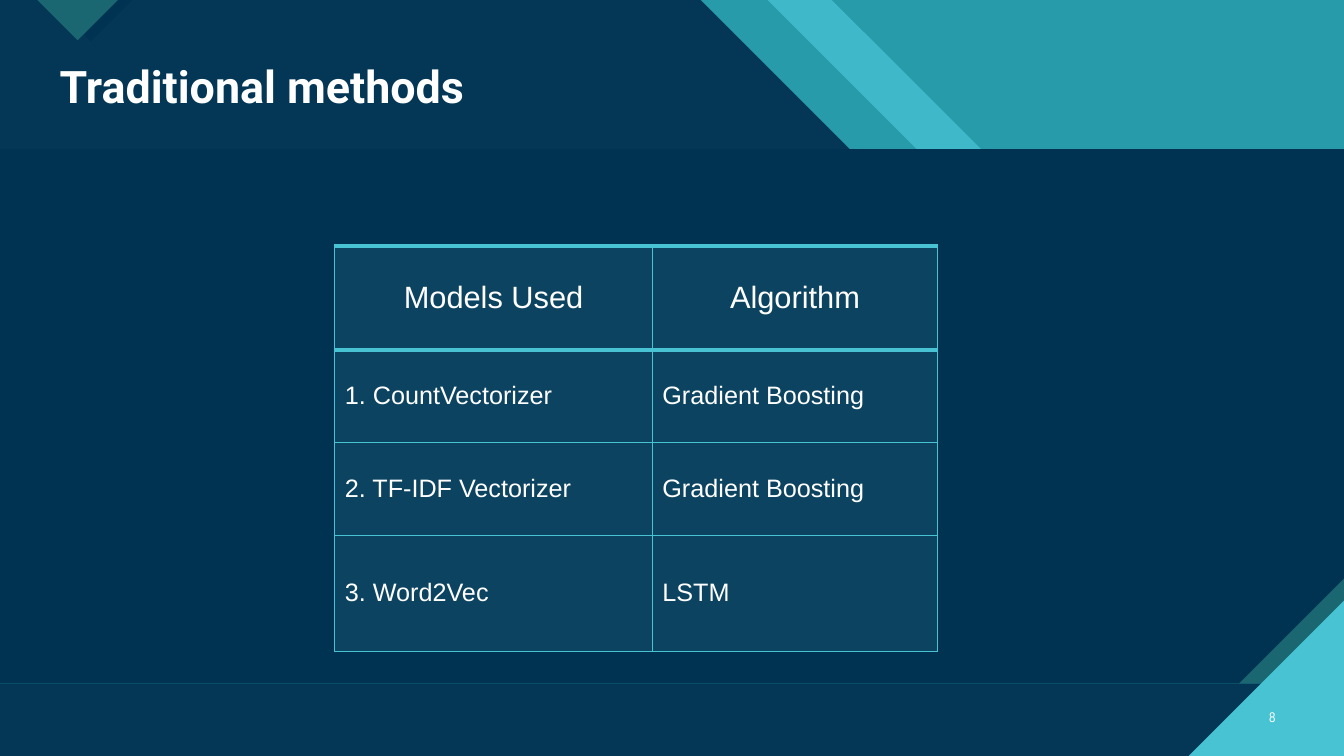
"""Build the slide that lists the traditional methods and their algorithms."""
from dataclasses import dataclass

from lxml import etree
from pptx import Presentation
from pptx.dml.color import RGBColor
from pptx.enum.shapes import MSO_SHAPE
from pptx.enum.text import MSO_ANCHOR, MSO_AUTO_SIZE, PP_ALIGN
from pptx.oxml.ns import qn
from pptx.util import Inches, Pt

RECTANGLE = MSO_SHAPE.RECTANGLE
MIDDLE = MSO_ANCHOR.MIDDLE
NO_AUTOFIT = MSO_AUTO_SIZE.NONE
LEFT, CENTER, RIGHT = PP_ALIGN.LEFT, PP_ALIGN.CENTER, PP_ALIGN.RIGHT

WHITE = RGBColor(0xFF, 0xFF, 0xFF)
TEAL = RGBColor(0x28, 0x9B, 0xAA)
STRIPE = RGBColor(0x3F, 0xB8, 0xC9)
AQUA = RGBColor(0x47, 0xC3, 0xD3)
PINE = RGBColor(0x1B, 0x67, 0x71)
NAVY = RGBColor(0x00, 0x32, 0x52)
HEADER_NAVY = RGBColor(0x03, 0x37, 0x55)
CELL_BLUE = RGBColor(0x0C, 0x43, 0x60)

WIDTH, HEIGHT = 13.33, 7.5
BAND_TOP, BAND_BOTTOM = 1.48, 6.78
SNIP = 1.04
CORNER = 1.54


@dataclass(frozen=True)
class Block:
    left: float
    top: float
    width: float
    height: float
    color: RGBColor


@dataclass(frozen=True)
class Panel:
    points: tuple
    color: RGBColor


@dataclass(frozen=True)
class TextStyle:
    size: float
    font: str
    align: PP_ALIGN
    bold: bool = False


def slanted(top_right: float) -> tuple:
    """Return the corners of a header panel whose right edge falls at 45 degrees."""
    return ((0, 0), (top_right, 0), (top_right + BAND_TOP, BAND_TOP), (0, BAND_TOP))


BACKDROP = (
    Block(0, 0, WIDTH, HEIGHT, TEAL),
    Panel(slanted(8.25), STRIPE),
    Panel(slanted(7.61), TEAL),
    Panel(slanted(6.95), HEADER_NAVY),
    Panel(((0.48, 0), (1.31, 0), (0.9, 0.41)), NAVY),
    Panel(((0.37, 0), (1.17, 0), (0.77, 0.4)), PINE),
    Block(0, BAND_BOTTOM, WIDTH, HEIGHT - BAND_BOTTOM, HEADER_NAVY),
    Block(0, BAND_TOP, WIDTH, BAND_BOTTOM - BAND_TOP, PINE),
    Panel(((0, BAND_TOP), (WIDTH, BAND_TOP), (WIDTH, BAND_BOTTOM - SNIP),
           (WIDTH - SNIP, BAND_BOTTOM), (0, BAND_BOTTOM)), NAVY),
    Panel(((WIDTH - CORNER, HEIGHT), (WIDTH, HEIGHT), (WIDTH, HEIGHT - CORNER)), AQUA),
)

TITLE_STYLE = TextStyle(32, "Roboto", LEFT, bold=True)
HEADING_STYLE = TextStyle(22, "Arial", CENTER)
BODY_STYLE = TextStyle(18, "Arial", LEFT)
NUMBER_STYLE = TextStyle(10, "Arial Narrow", RIGHT)

METHODS = (
    ("Models Used", "Algorithm"),
    ("1. CountVectorizer", "Gradient Boosting"),
    ("2. TF-IDF Vectorizer", "Gradient Boosting"),
    ("3. Word2Vec", "LSTM"),
)
COLUMN_WIDTHS = (3.15, 2.83)
ROW_HEIGHTS = (1.03, 0.92, 0.92, 1.15)
VERTICAL_RULES = (0.75, 0.75, 1)
HORIZONTAL_RULES = (3, 3, 1, 1, 1)


def draw_backdrop(slide, item) -> None:
    """Draw one flat block or panel."""
    if isinstance(item, Block):
        box = map(Inches, (item.left, item.top, item.width, item.height))
        shape = slide.shapes.add_shape(RECTANGLE, *box)
    else:
        start, *others = [(Inches(x), Inches(y)) for x, y in item.points]
        builder = slide.shapes.build_freeform(*start)
        builder.add_line_segments(others)
        shape = builder.convert_to_shape()
    shape.shadow.inherit = False
    shape.fill.solid()
    shape.fill.fore_color.rgb = item.color
    shape.line.fill.background()


def write(frame, text: str, style: TextStyle) -> None:
    """Write one styled white paragraph into a text frame."""
    para = frame.paragraphs[0]
    para.alignment = style.align
    span = para.add_run()
    span.text = text
    formats = {"size": Pt(style.size), "name": style.font, "bold": style.bold}
    for name, value in formats.items():
        setattr(span.font, name, value)
    span.font.color.rgb = WHITE


def add_border(cell, side: str, points: float) -> None:
    """Rule one side of a table cell."""
    line = etree.SubElement(cell._tc.get_or_add_tcPr(), qn(f"a:ln{side}"), w=str(Pt(points)))
    fill = etree.SubElement(line, qn("a:solidFill"))
    etree.SubElement(fill, qn("a:srgbClr"), val=str(AQUA))


def draw_methods(slide) -> None:
    """Draw the table of models and algorithms."""
    frame = slide.shapes.add_table(
        len(ROW_HEIGHTS), len(COLUMN_WIDTHS), Inches(3.32), Inches(2.44),
        Inches(sum(COLUMN_WIDTHS)), Inches(sum(ROW_HEIGHTS)))
    table = frame.table
    table.first_row = table.horz_banding = False
    for column, width in zip(table.columns, COLUMN_WIDTHS):
        column.width = Inches(width)
    for row, height in zip(table.rows, ROW_HEIGHTS):
        row.height = Inches(height)
    for r, texts in enumerate(METHODS):
        for c, text in enumerate(texts):
            cell = table.cell(r, c)
            borders = {"L": VERTICAL_RULES[c], "R": VERTICAL_RULES[c + 1],
                       "T": HORIZONTAL_RULES[r], "B": HORIZONTAL_RULES[r + 1]}
            for side, points in borders.items():
                add_border(cell, side, points)
            cell.fill.solid()
            cell.fill.fore_color.rgb = CELL_BLUE
            cell.vertical_anchor = MIDDLE
            write(cell.text_frame, text, BODY_STYLE if r else HEADING_STYLE)


def place_text(shape, box: tuple, text: str, style: TextStyle) -> None:
    """Position a text shape and fill it with one centred line."""
    for name, value in zip(("left", "top", "width", "height"), box):
        setattr(shape, name, Inches(value))
    formats = {"word_wrap": True, "auto_size": NO_AUTOFIT, "vertical_anchor": MIDDLE}
    for name, value in formats.items():
        setattr(shape.text_frame, name, value)
    write(shape.text_frame, text, style)


def main() -> None:
    """Build and save the deck."""
    deck = Presentation()
    deck.slide_width, deck.slide_height = Inches(WIDTH), Inches(HEIGHT)
    slide = deck.slides.add_slide(deck.slide_layouts[5])
    slide.background.fill.solid()
    slide.background.fill.fore_color.rgb = AQUA
    for item in BACKDROP:
        draw_backdrop(slide, item)

    title = slide.shapes.title
    slide.shapes._spTree.append(title._element)
    place_text(title, (0.49, 0.59, 12.26, 0.59), "Traditional methods", TITLE_STYLE)
    title.text_frame.paragraphs[0].line_spacing = 0.9

    draw_methods(slide)
    number = slide.shapes.add_textbox(0, 0, 0, 0)
    place_text(number, (12.31, 6.91, 0.44, 0.4), "8", NUMBER_STYLE)
    deck.save("out.pptx")


if __name__ == "__main__":
    main()
